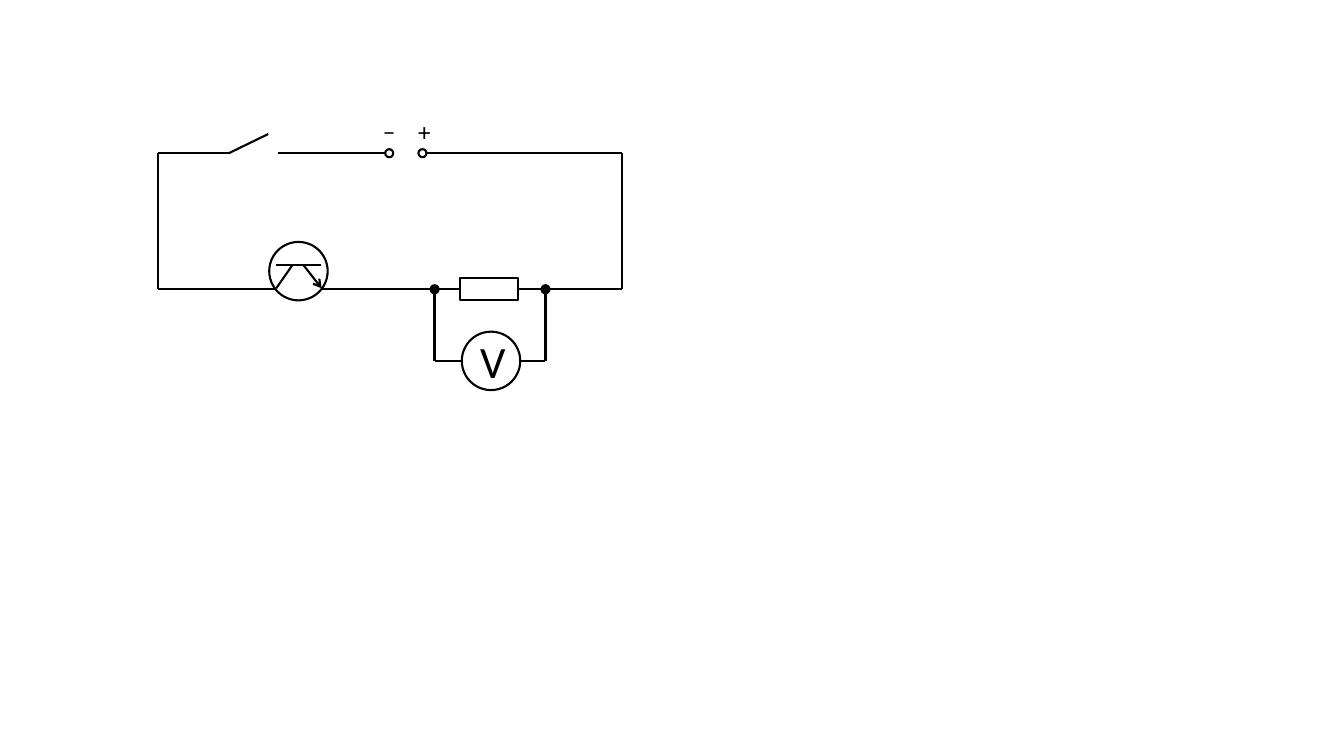
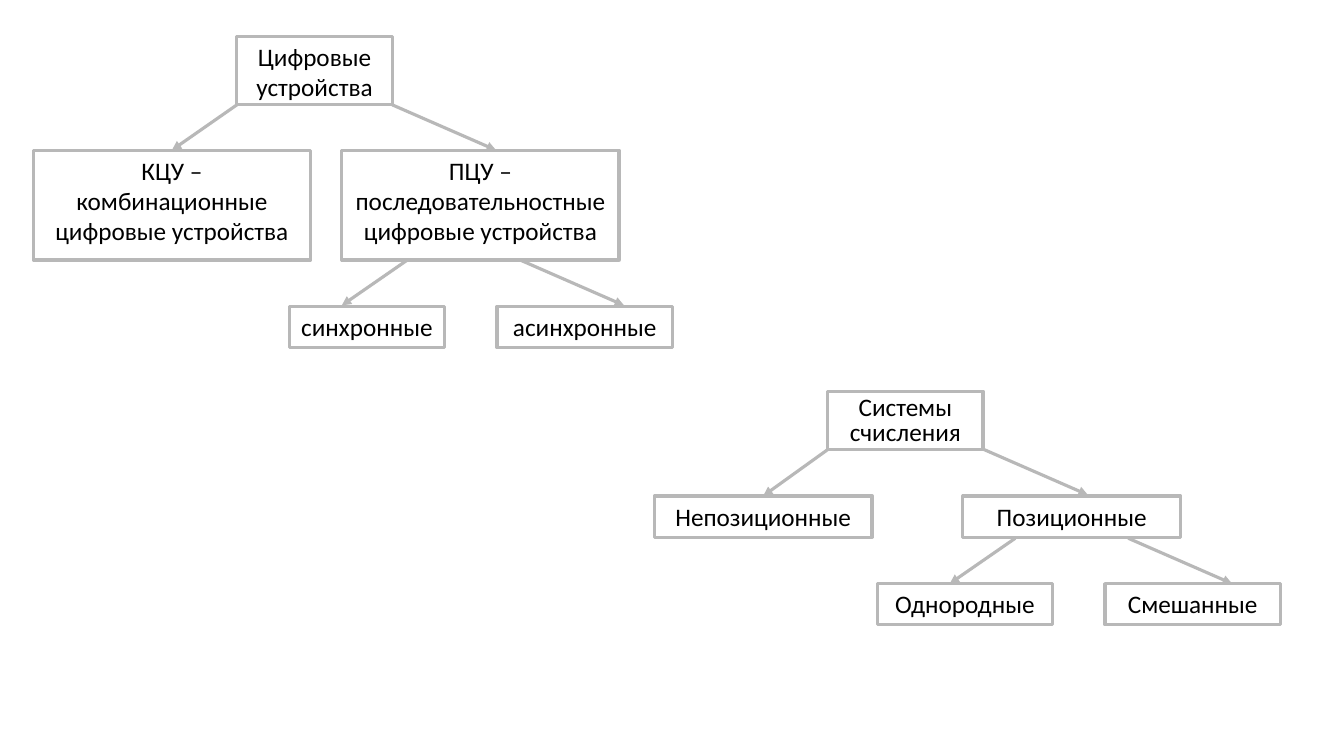
from typing import NamedTuple, Optional

from lxml.etree import SubElement
from pptx import Presentation
from pptx.dml.color import RGBColor
from pptx.enum.shapes import MSO_CONNECTOR, MSO_SHAPE
from pptx.enum.text import MSO_ANCHOR, PP_ALIGN
from pptx.oxml.ns import qn
from pptx.util import Inches, Pt

FONT = "Calibri"
BLACK = "000000"
WHITE = "FFFFFF"
GRAY = "B8B8B8"
TOP, LEFT, RIGHT = 0, 1, 3


class Pen(NamedTuple):
    color: str
    width: float


class Wire(NamedTuple):
    x1: float
    y1: float
    x2: float
    y2: float


class Dot(NamedTuple):
    x: float
    y: float
    size: float
    fill: str = WHITE


class Sign(NamedTuple):
    text: str
    x: float
    y: float


class Box(NamedTuple):
    text: str
    x: float
    y: float
    w: float
    h: float
    lead: Optional[float] = None


class Fork(NamedTuple):
    x1: float
    x2: float
    y: float
    join: Optional[str] = None


INK = Pen(BLACK, 1.5)
FRAME = Pen(GRAY, 2.25)

UP, MID, LOW = 1.52, 2.87, 3.58
WEST, EAST = 1.57, 6.17
NODES = (4.31, 5.41)
POLES = (3.86, 4.19)
SMALL, LARGE = 0.08, 0.58

WIRES = [
    Wire(3.82, UP, 2.76, UP),
    Wire(EAST, UP, 4.23, UP),
    Wire(2.27, UP, WEST, UP),
    Wire(2.66, 1.33, 2.27, UP),
    Wire(WEST, UP, WEST, MID),
    Wire(EAST, UP, EAST, MID),
    Wire(NODES[1], LOW, NODES[0], LOW),
    *(Wire(x, MID, x, LOW) for x in NODES),
]
DOTS = [
    *(Dot(x, UP, SMALL) for x in POLES),
    *(Dot(x, MID, SMALL, BLACK) for x in NODES),
]
SIGNS = [Sign("+", 4.13, 1.22), Sign("–", 3.78, 1.21)]

BOXES = [
    Box("Цифровые устройства", 2.35, 0.36, 1.54, 0.68),
    Box("КЦУ – комбинационные цифровые устройства", 0.33, 1.49, 2.75, 1.09),
    Box("ПЦУ – последовательностные цифровые устройства", 3.39, 1.49, 2.75, 1.09),
    Box("синхронные", 2.87, 3.04, 1.54, 0.41),
    Box("асинхронные", 4.93, 3.04, 1.74, 0.41),
    Box("Системы счисления", 8.21, 3.88, 1.54, 0.58, 18),
    Box("Непозиционные", 6.49, 4.92, 2.16, 0.41),
    Box("Позиционные", 9.55, 4.92, 2.16, 0.41),
    Box("Однородные", 8.7, 5.79, 1.74, 0.41),
    Box("Смешанные", 10.96, 5.79, 1.74, 0.41),
]
FORKS = [
    Fork(2.35, 3.89, 1.04, BOXES[1].text),
    Fork(4.04, 5.16, 2.58),
    Fork(8.21, 9.76, 4.46, "Непозиционные"),
    Fork(10.07, 11.19, 5.34),
]
BACK, AHEAD, DROP = 0.65, 1.03, 0.45


def paint(color: str) -> RGBColor:
    return RGBColor.from_string(color)


def stroke(line, pen: Pen) -> None:
    line.color.rgb = paint(pen.color)
    line.width = Pt(pen.width)


def draw(shapes, kind, x: float, y: float, w: float, h: float, pen: Pen, fill: str = WHITE):
    shape = shapes.add_shape(kind, Inches(x), Inches(y), Inches(w), Inches(h))
    shape.shadow.inherit = False
    shape.fill.solid()
    shape.fill.fore_color.rgb = paint(fill)
    stroke(shape.line, pen)
    return shape


def circle(shapes, dot: Dot):
    half = dot.size / 2
    return draw(shapes, MSO_SHAPE.OVAL, dot.x - half, dot.y - half,
                dot.size, dot.size, INK, dot.fill)


def link(shapes, wire: Wire, pen: Pen, tip: Optional[str] = None):
    line = shapes.add_connector(MSO_CONNECTOR.STRAIGHT, *(Inches(v) for v in wire))
    stroke(line.line, pen)
    props = line._element.spPr
    if tip:
        SubElement(props.find(qn("a:ln")), qn("a:tailEnd"), type=tip)
    SubElement(props, qn("a:effectLst"))
    return line


def write(shape, text: str, size: float = 18, anchor=MSO_ANCHOR.MIDDLE,
          lead: Optional[float] = None) -> None:
    frame = shape.text_frame
    frame.word_wrap = True
    frame.vertical_anchor = anchor
    para = frame.paragraphs[0]
    para.text = text
    para.alignment = PP_ALIGN.CENTER
    if lead:
        para.line_spacing = Pt(lead)
    para.font.name = FONT
    para.font.size = Pt(size)
    para.font.color.rgb = paint(BLACK)


def label(shapes, sign: Sign) -> None:
    box = shapes.add_textbox(Inches(sign.x), Inches(sign.y), Inches(0.16), Inches(0.16))
    frame = box.text_frame
    frame.margin_left = frame.margin_right = Inches(0)
    frame.margin_top = frame.margin_bottom = Inches(0)
    write(box, sign.text)


def valve(shapes) -> None:
    group = shapes.add_group_shape().shapes
    circle(group, Dot(2.96, 2.69, LARGE))
    link(group, Wire(3.01, 2.63, 3.19, 2.86), INK, "arrow")
    link(group, Wire(2.74, 2.86, 2.9, 2.63), INK)
    link(group, Wire(2.74, 2.63, 3.18, 2.63), INK)


def circuit(shapes) -> None:
    load = draw(shapes, MSO_SHAPE.RECTANGLE, 4.56, 2.76, 0.58, 0.22, INK)
    for x, end, side in ((WEST, 4.56, LEFT), (EAST, 5.14, RIGHT)):
        link(shapes, Wire(x, MID, end, MID), INK).end_connect(load, side)
    for wire in WIRES:
        link(shapes, wire, INK)
    for dot in DOTS:
        circle(shapes, dot)
    for sign in SIGNS:
        label(shapes, sign)
    valve(shapes)
    write(circle(shapes, Dot(4.87, LOW, LARGE)), "V", 32)


def trees(shapes) -> None:
    made = {}
    for box in BOXES:
        shape = draw(shapes, MSO_SHAPE.RECTANGLE, box.x, box.y, box.w, box.h, FRAME)
        write(shape, box.text, anchor=MSO_ANCHOR.TOP, lead=box.lead)
        made[box.text] = shape
    for fork in FORKS:
        end = fork.y + DROP
        left = link(shapes, Wire(fork.x1, fork.y, fork.x1 - BACK, end), FRAME, "triangle")
        if fork.join:
            left.end_connect(made[fork.join], TOP)
        link(shapes, Wire(fork.x2, fork.y, fork.x2 + AHEAD, end), FRAME, "triangle")


def main() -> None:
    deck = Presentation()
    deck.slide_width = Inches(13.33)
    deck.slide_height = Inches(7.5)
    for build in (circuit, trees):
        build(deck.slides.add_slide(deck.slide_layouts[6]).shapes)
    deck.save("out.pptx")


if __name__ == "__main__":
    main()
